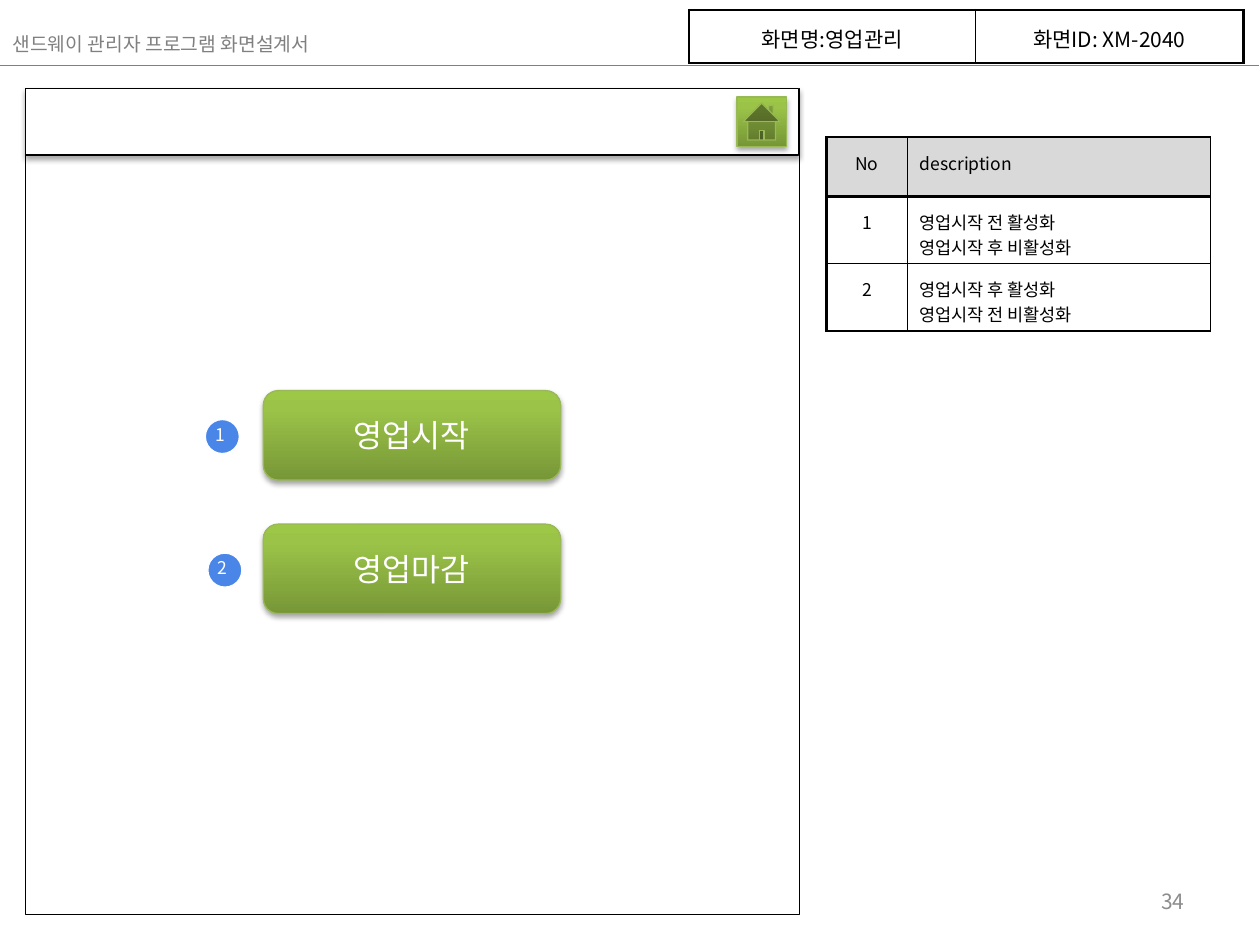
from copy import deepcopy
from lxml import etree
from pptx import Presentation
from pptx import util as u
from pptx.dml.color import RGBColor
from pptx.enum import shapes, text
from pptx.oxml import ns

FONT = "Noto Sans CJK KR"
BLACK = RGBColor(0, 0, 0)
WHITE = RGBColor(255, 255, 255)
GRAY = RGBColor(0x80, 0x80, 0x80)
PALE = RGBColor(0x8C, 0x8C, 0x8C)
HEAD = RGBColor(0xD9, 0xD9, 0xD9)
BLUE = RGBColor(0x4A, 0x86, 0xE8)
EDGE = RGBColor(0x98, 0xB9, 0x55)
GREEN = [
    (0, RGBColor(0x77, 0x97, 0x37)),
    (0.8, RGBColor(0x9B, 0xC3, 0x48)),
    (1, RGBColor(0x9D, 0xC7, 0x46)),
]
KIND = shapes.MSO_SHAPE
LEFT, MID, RIGHT = text.PP_ALIGN.LEFT, text.PP_ALIGN.CENTER, text.PP_ALIGN.RIGHT
COLS, ROWS = 100, 75
THICK, THIN = 1.5, 0.75


def node(up, tag, **attrs):
    return etree.SubElement(up, ns.qn(tag), {k: str(v) for k, v in attrs.items()})


def write(frame, words, size=10, color=BLACK, align=LEFT, anchor=None, pad=None):
    frame.word_wrap = True
    if anchor is not None:
        frame.vertical_anchor = anchor
    if pad is not None:
        frame.margin_left = frame.margin_right = u.Inches(pad)
        frame.margin_top = frame.margin_bottom = u.Inches(pad)
    for i, line in enumerate(words.split("\n")):
        para = frame.add_paragraph() if i else frame.paragraphs[0]
        para.alignment = align
        run = para.add_run()
        run.text = line
        run.font.size = u.Pt(size)
        run.font.name = FONT
        run.font.color.rgb = color
        node(run.font._element, "a:ea", typeface=FONT)


class Deck:
    def __init__(self):
        self.prs = Presentation()
        self.prs.slide_width, self.prs.slide_height = u.Inches(10), u.Inches(7.5)
        self.slide = self.prs.slides.add_slide(self.prs.slide_layouts[6])
        self.into = self.slide.shapes

    def x(self, col):
        return round(self.prs.slide_width * col / COLS)

    def y(self, row):
        return round(self.prs.slide_height * row / ROWS)

    def box(self, col, row, wide, high):
        return self.x(col), self.y(row), self.x(wide), self.y(high)

    def group(self):
        self.into = self.slide.shapes.add_group_shape().shapes

    def leave(self):
        self.into = self.slide.shapes

    def label(self, area, words, **style):
        item = self.into.add_textbox(*self.box(*area))
        write(item.text_frame, words, **style)
        return item

    def shape(self, kind, area, fill=None, line=BLACK, width=0.75, shade=False):
        item = self.into.add_shape(kind, *self.box(*area))
        if fill is None:
            item.fill.background()
        elif fill is GREEN:
            self.blend(item.fill)
        else:
            item.fill.solid()
            item.fill.fore_color.rgb = fill
        item.line.color.rgb = line
        item.line.width = u.Pt(width)
        item.shadow.inherit = False
        if shade:
            self.shade(item)
        return item

    def blend(self, fill):
        fill.gradient()
        fill.gradient_angle = 90
        last = fill.gradient_stops[1]._gs
        last.addnext(deepcopy(last))
        for stop, (spot, color) in zip(fill.gradient_stops, GREEN):
            stop.position = spot
            stop.color.rgb = color

    def shade(self, item):
        effect = item._element.spPr.find(ns.qn("a:effectLst"))
        drop = node(effect, "a:outerShdw", blurRad=u.Pt(3.1), dist=u.Pt(1.8),
                    dir=5400000, rotWithShape=0)
        node(node(drop, "a:srgbClr", val=BLACK), "a:alpha", val=35000)

    def rule(self, start, end, row):
        item = self.into.add_connector(shapes.MSO_CONNECTOR.STRAIGHT, self.x(start),
                                       self.y(row), self.x(end), self.y(row))
        item.line.color.rgb = GRAY
        item.line.width = u.Pt(1)
        node(item._element.spPr, "a:effectLst")

    def edge(self, cell, sides):
        props = cell._tc.get_or_add_tcPr()
        for i, (side, width) in enumerate(zip("LRTB", sides)):
            line = node(props, f"a:ln{side}", w=u.Pt(width))
            node(node(line, "a:solidFill"), "a:srgbClr", val=BLACK)
            props.insert(i, line)

    def table(self, spot, wides, high, data, size, aligns, head=None, right=THICK):
        count, last = len(data), len(wides) - 1
        area = self.box(*spot, sum(wides), high * count)
        grid = self.into.add_table(count, len(wides), *area).table
        grid.first_row = grid.horz_banding = False
        for col, wide in zip(grid.columns, wides):
            col.width = self.x(wide)
        rims = [THICK] + [THICK if head and i == 0 else THIN
                          for i in range(count - 1)] + [THICK]
        for r, line in enumerate(data):
            grid.rows[r].height = self.y(high)
            for c, words in enumerate(line):
                cell = grid.cell(r, c)
                write(cell.text_frame, words, size=size, align=aligns[c])
                cell.margin_left = cell.margin_right = u.Inches(0.1)
                cell.margin_top = cell.margin_bottom = u.Inches(0.1)
                if head and r == 0:
                    cell.fill.solid()
                    cell.fill.fore_color.rgb = head
                else:
                    cell.fill.background()
                self.edge(cell, (THIN if c else THICK, right if c == last else THIN,
                                 rims[r], rims[r + 1]))

    def button(self, row, words):
        item = self.shape(KIND.ROUNDED_RECTANGLE, (20.9, row, 23.6, 7.1), GREEN,
                          EDGE, shade=True)
        write(item.text_frame, words, size=18, color=WHITE, align=MID,
              anchor=text.MSO_ANCHOR.MIDDLE)

    def badge(self, col, row, words):
        self.group()
        self.shape(KIND.OVAL, (col, row, 2.7, 2.7), BLUE, WHITE)
        self.label((col - 0.2, row - 0.5, 3.4, 3.4), words, color=WHITE, pad=0.1)
        self.leave()


def main():
    deck = Deck()
    deck.label((71.7, 69.5, 23.3, 4), "34", size=12, color=PALE, align=RIGHT,
               anchor=text.MSO_ANCHOR.MIDDLE)
    deck.rule(0, 99.9, 5.2)
    deck.table((54.7, 0.8), (22.7, 21.3), 4.2,
               [("화면명:영업관리", "화면ID: XM-2040")], 12, (MID, MID))
    deck.table((65.6, 10.9), (6.4, 24.1), 4.7, [
        ("No", "description"),
        ("1", "영업시작 전 활성화\n영업시작 후 비활성화"),
        ("2", "영업시작 후 활성화\n영업시작 전 비활성화"),
    ], 10, (MID, LEFT), head=HEAD, right=THIN)

    deck.shape(KIND.RECTANGLE, (2, 7, 61.4, 65.6), width=0.25)
    deck.shape(KIND.RECTANGLE, (2, 7, 61.4, 5.3), WHITE, shade=True)

    top, step = 31, 10.6
    deck.group()
    for i, words in enumerate(("영업시작", "영업마감")):
        deck.button(top + i * step, words)
    deck.leave()
    for i, col in enumerate((16.3, 16.5)):
        deck.badge(col, top + 2.3 + i * step, str(i + 1))

    deck.shape(KIND.ACTION_BUTTON_HOME, (58.5, 7.7, 3.9, 3.9), GREEN, EDGE, shade=True)
    title = deck.label((0, 2.1, 42.8, 2.9), "샌드웨이 관리자 프로그램 화면설계서",
                       size=11, color=GRAY)
    title.text_frame.auto_size = text.MSO_AUTO_SIZE.SHAPE_TO_FIT_TEXT
    deck.prs.save("out.pptx")


if __name__ == "__main__":
    main()
